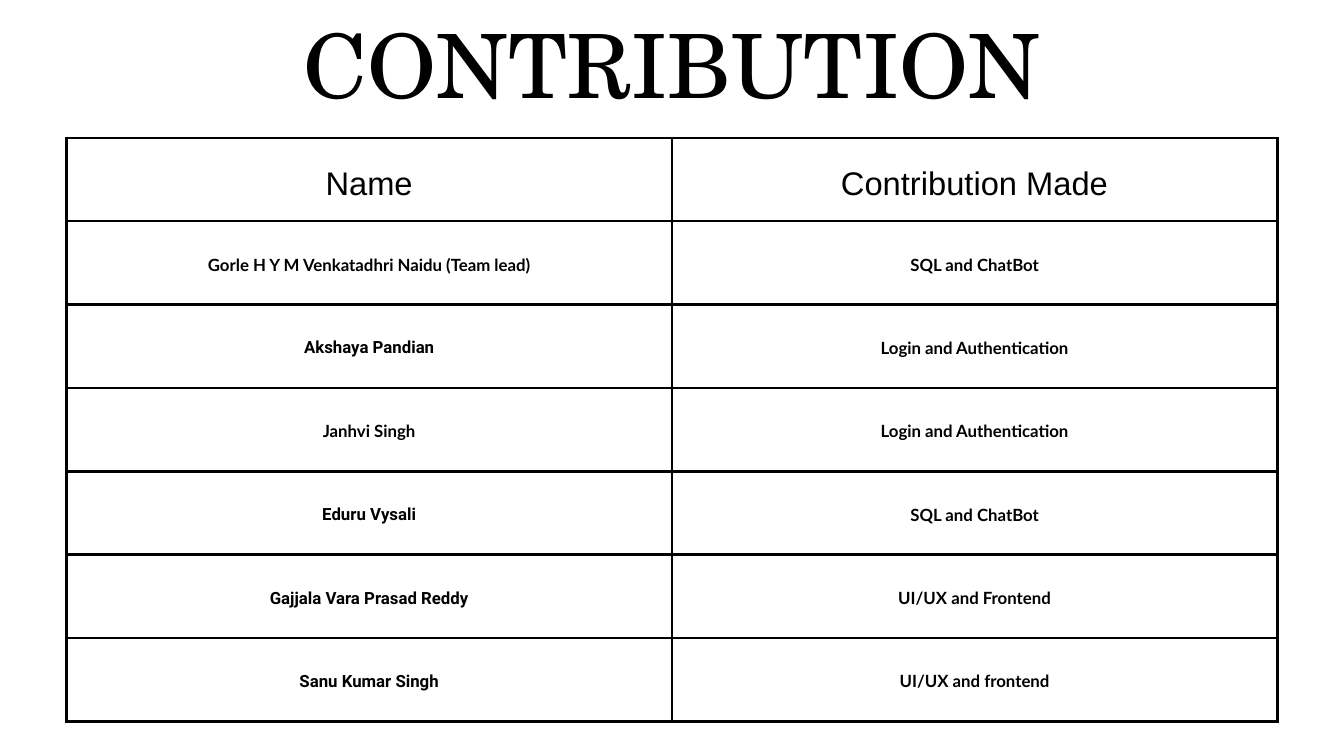
from lxml import etree
from pptx import Presentation
from pptx import util as u
from pptx.dml.color import RGBColor
from pptx.enum import text
from pptx.oxml import ns

COLORS = {"ink": "000000", "paper": "FFFFFF"}
FORMATS = {
    "title": {"name": "TeX Gyre Schola", "size": u.Pt(95), "bold": False},
    "header": {"name": "Arial", "size": u.Pt(35), "bold": False},
    "lato": {"name": "Lato", "size": u.Pt(18), "bold": True},
    "roboto": {"name": "Roboto", "size": u.Pt(18), "bold": True},
}
MARGINS = ("margin_left", "margin_top", "margin_right", "margin_bottom")
ROWS = [
    ("Name", "header", "Contribution Made", "header"),
    ("Gorle H Y M Venkatadhri Naidu (Team lead)", "lato", "SQL and ChatBot", "lato"),
    ("Akshaya Pandian", "roboto", "Login and Authentication", "lato"),
    ("Janhvi Singh", "lato", "Login and Authentication", "lato"),
    ("Eduru Vysali", "roboto", "SQL and ChatBot", "lato"),
    ("Gajjala Vara Prasad Reddy", "roboto", "UI/UX and Frontend", "lato"),
    ("Sanu Kumar Singh", "roboto", "UI/UX and frontend", "lato"),
]


class Deck:
    """Holds the style and the current slide, and adds elements to it."""

    def __init__(self, prs):
        """Start a blank slide with a plain background."""
        self.s = prs.slides.add_slide(prs.slide_layouts[6])
        fill = self.s.background.fill
        fill.solid()
        fill.fore_color.rgb = RGBColor.from_string(COLORS["paper"])

    def paragraph(self, tf, words, style, leading):
        """Put one centred paragraph into a text frame."""
        p = tf.paragraphs[0]
        p.alignment = text.PP_ALIGN.CENTER
        p.line_spacing = u.Pt(FORMATS[style]["size"].pt * leading)
        r = p.add_run()
        r.text = words
        for key, value in FORMATS[style].items():
            setattr(r.font, key, value)
        r.font.color.rgb = RGBColor.from_string(COLORS["ink"])

    def title(self, words, left, top, width, height):
        """Add the slide title in a text box without margins."""
        sp = self.s.shapes.add_textbox(left, top, width, height)
        tf = sp.text_frame
        tf.word_wrap = True
        tf.auto_size = text.MSO_AUTO_SIZE.SHAPE_TO_FIT_TEXT
        for margin in MARGINS:
            setattr(tf, margin, 0)
        self.paragraph(tf, words, "title", 0.95)

    def border(self, cell, width):
        """Draw a solid line on all four sides of a cell."""
        tc_pr = cell._tc.get_or_add_tcPr()
        for side in ("a:lnL", "a:lnR", "a:lnT", "a:lnB"):
            ln = etree.SubElement(tc_pr, ns.qn(side), w=str(width))
            fill = etree.SubElement(ln, ns.qn("a:solidFill"))
            etree.SubElement(fill, ns.qn("a:srgbClr"), val=COLORS["ink"])

    def table(self, rows, left, top, width, height):
        """Add an evenly spaced, ruled table of two columns."""
        tbl = self.s.shapes.add_table(len(rows), 2, left, top, width, height).table
        tbl.first_row = tbl.horz_banding = False
        for i, row in enumerate(rows):
            for j, (words, style) in enumerate(zip(row[::2], row[1::2])):
                cell = tbl.cell(i, j)
                self.border(cell, u.Pt(3))
                cell.fill.background()
                cell.vertical_anchor = text.MSO_ANCHOR.MIDDLE
                for margin in MARGINS:
                    setattr(cell, margin, u.Cm(0.53))
                self.paragraph(cell.text_frame, words, style, 1.4)


def main():
    """Build the contribution slide and save it."""
    prs = Presentation()
    prs.slide_width, prs.slide_height = u.Cm(50.8), u.Cm(28.58)
    deck = Deck(prs)
    deck.table(ROWS, u.Cm(2.51), u.Cm(5.21), u.Cm(45.77), u.Cm(22.07))
    deck.title("CONTRIBUTION", u.Cm(9.65), u.Cm(1.22), u.Cm(31.52), u.Cm(3.38))
    prs.save("out.pptx")


if __name__ == "__main__":
    main()
